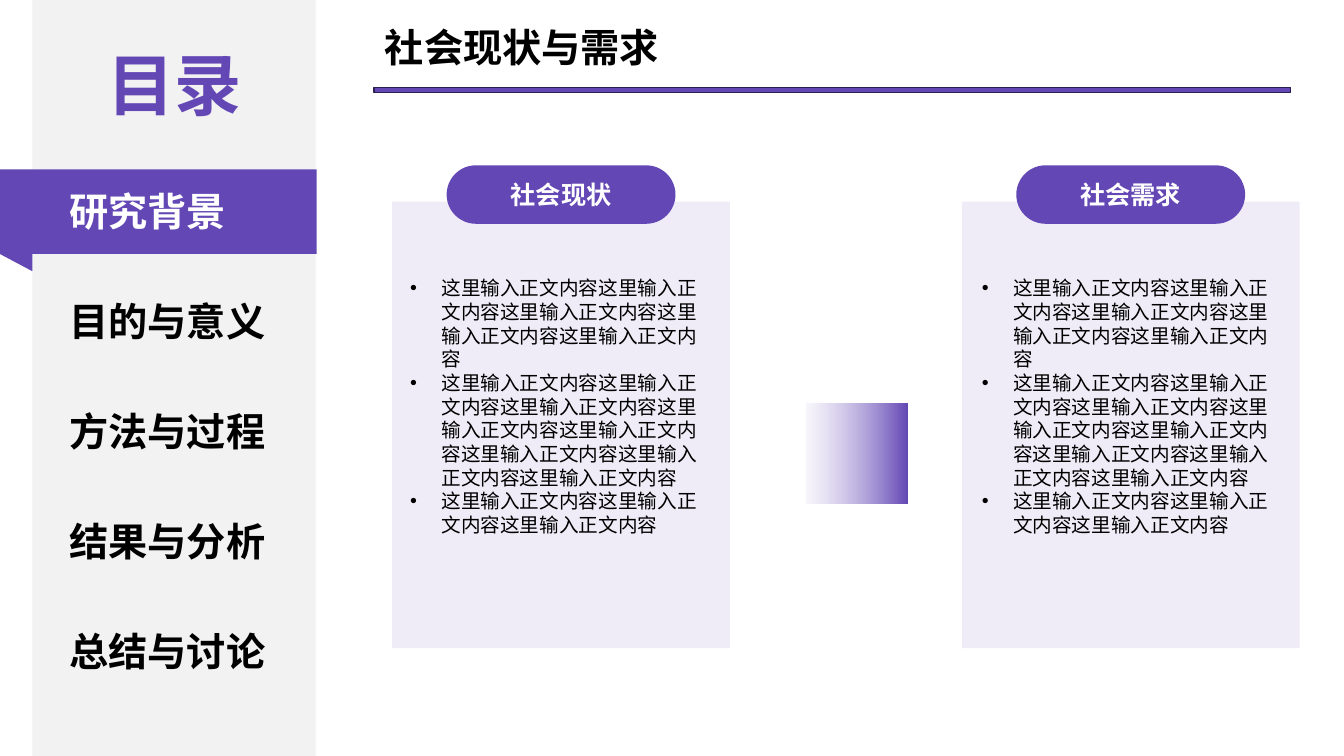
from pptx import Presentation
from pptx.dml.color import RGBColor
from pptx.enum.shapes import MSO_SHAPE
from pptx.enum.text import MSO_ANCHOR, PP_ALIGN
from pptx.oxml.ns import qn
from pptx.util import Inches, Pt
from lxml import etree

RECT = MSO_SHAPE.RECTANGLE
ROUND = MSO_SHAPE.ROUNDED_RECTANGLE
WEDGE = MSO_SHAPE.RIGHT_TRIANGLE
LEFT, CENTER = PP_ALIGN.LEFT, PP_ALIGN.CENTER
TOP, MIDDLE = MSO_ANCHOR.TOP, MSO_ANCHOR.MIDDLE

FONT = "Noto Sans CJK SC"
COLORS = {
    "purple": "6347B5",
    "lilac": "B1A2DB",
    "pale": "E0DAF0",
    "edge": "2B1F4F",
    "gray": "F2F2F2",
    "black": "000000",
    "white": "FFFFFF",
}


def rgb(name):
    return RGBColor.from_string(COLORS[name])


def fade(fill, percent):
    color = fill.find(".//" + qn("a:srgbClr"))
    etree.SubElement(color, qn("a:alpha")).set("val", str(percent * 1000))


def write(frame, text, size=28, color="black", bold=True, align=LEFT,
          anchor=MIDDLE, bullet=False, pitch=None):
    frame.word_wrap = True
    frame.vertical_anchor = anchor
    frame.text = text
    for para in frame.paragraphs:
        para.alignment = align
        if pitch:
            para.line_spacing = Pt(pitch)
        if bullet:
            props = para._p.get_or_add_pPr()
            props.set("marL", str(Inches(0.31)))
            props.set("indent", str(-Inches(0.31)))
            etree.SubElement(props, qn("a:buFont")).set("typeface", "Arial")
            etree.SubElement(props, qn("a:buChar")).set("char", "•")
        for run in para.runs:
            font = run.font
            font.size = Pt(size)
            font.bold = bold
            font.color.rgb = rgb(color)
            font.name = FONT
            east = etree.SubElement(run._r.get_or_add_rPr(), qn("a:ea"))
            east.set("typeface", FONT)


class Page:
    def __init__(self, slide):
        self.slide = slide
        self.items = slide.shapes

    def group(self):
        self.items = self.slide.shapes.add_group_shape().shapes

    def ungroup(self):
        self.items = self.slide.shapes

    def shape(self, kind, x, y, w, h, fill, alpha=None, line=None):
        item = self.items.add_shape(kind, Inches(x), Inches(y), Inches(w), Inches(h))
        item.shadow.inherit = False
        item.fill.solid()
        item.fill.fore_color.rgb = rgb(fill)
        if alpha:
            fade(item._element.spPr, alpha)
        if line:
            item.line.color.rgb = rgb(line)
            item.line.width = Pt(1)
        else:
            item.line.fill.background()
        return item

    def text(self, text, x, y, w, h, **style):
        box = self.items.add_textbox(Inches(x), Inches(y), Inches(w), Inches(h))
        write(box.text_frame, text, **style)

    def arrow(self, start, steps):
        points = [start]
        for step in steps:
            points += curve(points[-1], *step) if len(step) == 3 else step
        form = self.items.build_freeform(*start, scale=Inches(1))
        form.add_line_segments(points[1:], close=True)
        item = form.convert_to_shape()
        item.shadow.inherit = False
        item.line.fill.background()
        item.fill.gradient()
        item.fill.gradient_angle = 0
        first, last = item.fill.gradient_stops
        first.color.rgb, first.position = rgb("lilac"), 0
        last.color.rgb, last.position = rgb("purple"), 1
        fade(item._element.spPr, 10)


def curve(a, b, c, d, count=16):
    def mix(t, i):
        s = 1 - t
        return (s ** 3 * a[i] + 3 * s * s * t * b[i]
                + 3 * s * t * t * c[i] + t ** 3 * d[i])
    return [(mix(n / count, 0), mix(n / count, 1)) for n in range(1, count + 1)]


def main():
    deck = Presentation()
    deck.slide_width, deck.slide_height = Inches(13.33), Inches(7.5)
    page = Page(deck.slides.add_slide(deck.slide_layouts[6]))

    page.arrow((9.28, 4.27), [
        [(9.09, 4.18), (8.94, 4.11), (8.76, 3.85)],
        [(8.76, 4.05), (8.55, 4.02)],
        [(8.25, 3.97), (7.95, 3.88), (7.68, 3.74)],
        [(7.68, 4.77)],
        [(7.96, 4.64), (8.26, 4.54), (8.56, 4.5)],
        [(8.76, 4.47), (8.76, 4.7)],
        [(8.93, 4.45), (9.13, 4.32), (9.28, 4.27)],
    ])

    page.shape(RECT, 0.32, 0, 2.81, 7.5, "gray")
    page.text("目录", 0.76, 0.37, 1.94, 0.91, size=48, color="purple", align=CENTER)
    page.group()
    page.shape(RECT, 0, 1.68, 3.14, 0.84, "purple")
    page.shape(WEDGE, 0, 2.52, 0.32, 0.17, "purple").rotation = 180
    page.ungroup()
    topics = ["研究背景", "目的与意义", "方法与过程", "结果与分析", "总结与讨论"]
    for n, topic in enumerate(topics):
        page.text(topic, 0.59, 1.81 + 1.09 * n, 2.21, 0.57,
                  color="black" if n else "white")

    page.shape(RECT, 3.71, 0.87, 9.09, 0.05, "purple", line="edge")
    page.text("社会现状与需求", 3.72, 0.18, 4.93, 0.57)

    body = "\n".join("这里输入正文内容" * n for n in (5, 8, 3))
    for title, x, left in [("社会现状", 3.89, 3.97), ("社会需求", 9.54, 9.64)]:
        page.group()
        page.shape(RECT, x, 2, 3.35, 4.43, "pale", alpha=50)
        pill = page.shape(ROUND, x + 0.54, 1.64, 2.27, 0.58, "purple")
        pill.adjustments[0] = 0.5
        write(pill.text_frame, title, size=18, color="white", align=CENTER)
        page.ungroup()
        page.text(body, left, 2.69, 3.16, 2.93, size=14, bold=False,
                  anchor=TOP, bullet=True, pitch=16.9)

    deck.save("out.pptx")


if __name__ == "__main__":
    main()
